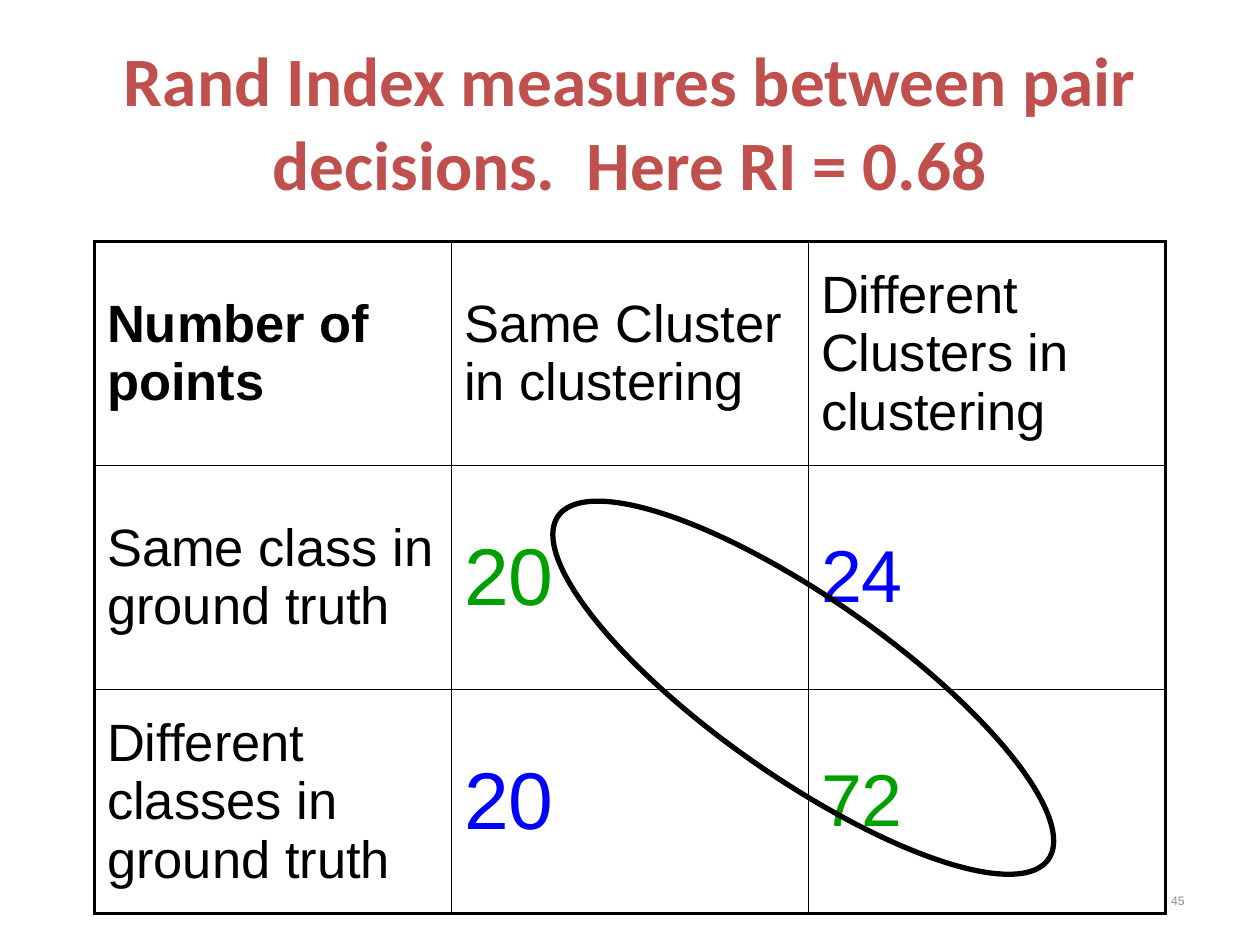
from lxml.etree import SubElement
from pptx import Presentation
from pptx.dml.color import RGBColor
from pptx.enum.shapes import MSO_SHAPE
from pptx.enum.text import MSO_ANCHOR, PP_ALIGN
from pptx.oxml.ns import qn
from pptx.util import Pt

COLORS = {"title": "C0504D", "text": "000000", "agree": "00A000",
          "disagree": "0000FF", "number": "8C8C8C"}


def write_text(text_frame, text, color, alignment=PP_ALIGN.LEFT, **font_format):
    paragraph = text_frame.paragraphs[0]
    paragraph.alignment = alignment
    run = paragraph.add_run()
    run.text = text
    for name, value in font_format.items():
        setattr(run.font, name, value)
    run.font.color.rgb = RGBColor.from_string(COLORS[color])
    return paragraph


def set_borders(cell, widths):
    properties = cell._tc.get_or_add_tcPr()
    for side, width in widths.items():
        line = SubElement(properties, qn(f"a:ln{side}"), w=str(Pt(width)))
        fill = SubElement(line, qn("a:solidFill"))
        SubElement(fill, qn("a:srgbClr"), val=COLORS["text"])


presentation = Presentation()
presentation.slide_width, presentation.slide_height = Pt(720), Pt(540)
slide = presentation.slides.add_slide(presentation.slide_layouts[5])

# Title
title = slide.shapes.title
title.left, title.top, title.width, title.height = Pt(42), Pt(30), Pt(636), Pt(78)
title.text_frame.vertical_anchor = MSO_ANCHOR.MIDDLE
write_text(title.text_frame, "Rand Index measures between pair decisions.  Here RI = 0.68",
           "title", PP_ALIGN.CENTER, name="Calibri", size=Pt(39.6), bold=True)

# Pair count table: text, size, color
rows = [
    [("Number of points", 30, "text"), ("Same Cluster in clustering", 30, "text"),
     ("Different Clusters in clustering", 30, "text")],
    [("Same class in ground truth", 30, "text"), ("20", 46, "agree"), ("24", 42, "disagree")],
    [("Different classes in ground truth", 30, "text"), ("20", 46, "disagree"), ("72", 42, "agree")],
]
table = slide.shapes.add_table(3, 3, Pt(54), Pt(138), Pt(612), Pt(384)).table
table.first_row = table.horz_banding = False
for row_index, row in enumerate(rows):
    for column_index, (text, size, color) in enumerate(row):
        cell = table.cell(row_index, column_index)
        cell.vertical_anchor = MSO_ANCHOR.MIDDLE
        paragraph = write_text(cell.text_frame, text, color, name="Arial", size=Pt(size),
                               bold=row_index == column_index == 0)
        paragraph.space_before = Pt(size * 0.2)
        outer_sides = {"L": column_index == 0, "R": column_index == 2,
                       "T": row_index == 0, "B": row_index == 2}
        set_borders(cell, {side: 2.25 if outer else 1 for side, outer in outer_sides.items()})
        cell.fill.background()

# Ellipse around the agreeing pairs
ellipse = slide.shapes.add_shape(MSO_SHAPE.OVAL, Pt(288), Pt(342), Pt(342), Pt(102))
ellipse.rotation = 35
ellipse.shadow.inherit = False
ellipse.fill.background()
ellipse.line.color.rgb = RGBColor.from_string(COLORS["text"])
ellipse.line.width = Pt(3)

# Slide number
number_box = slide.shapes.add_textbox(Pt(516), Pt(500), Pt(168), Pt(29))
number_box.text_frame.word_wrap = True
number_box.text_frame.vertical_anchor = MSO_ANCHOR.MIDDLE
write_text(number_box.text_frame, "45", "number", PP_ALIGN.RIGHT, name="Arial", size=Pt(7))

presentation.save("out.pptx")
